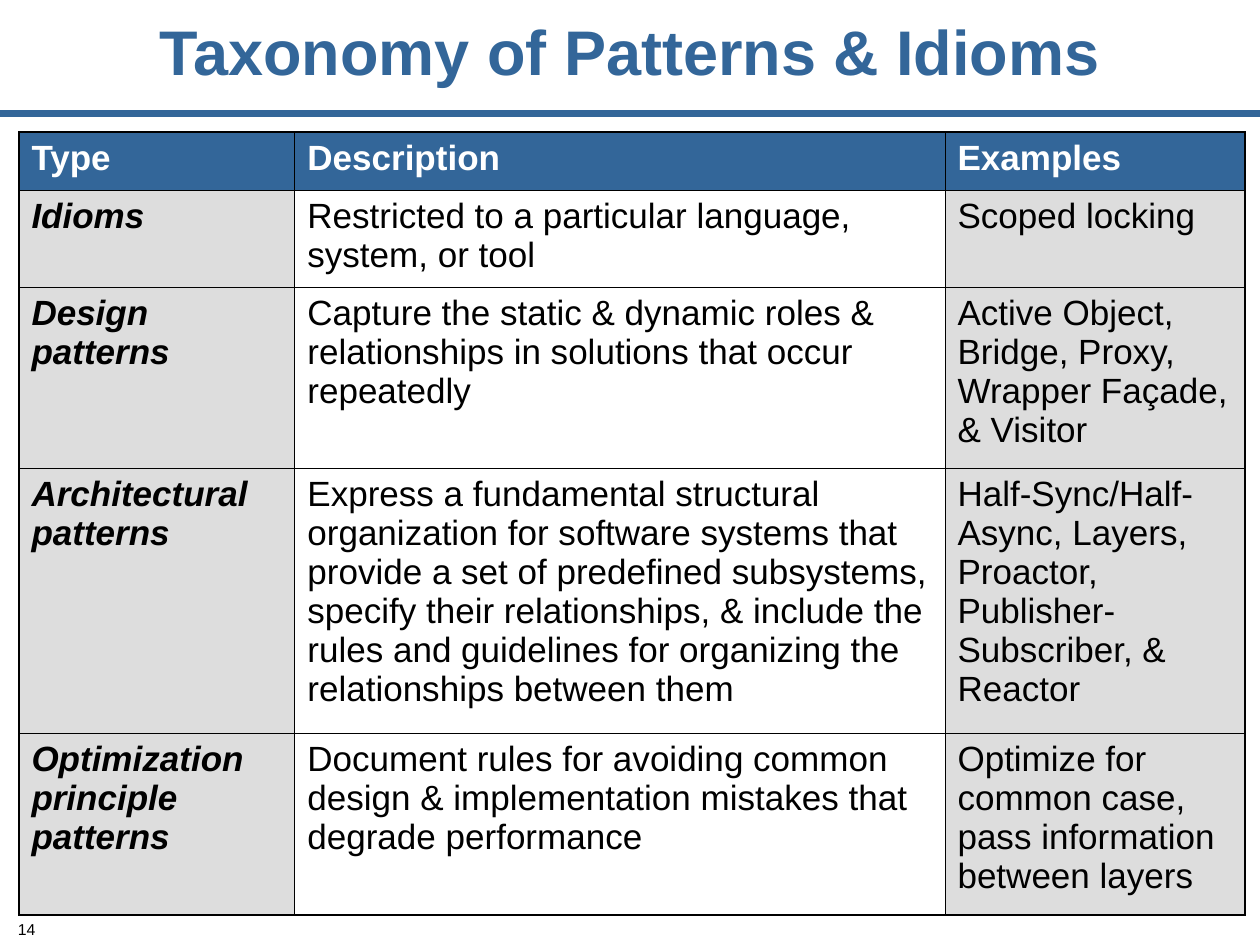
from lxml import etree
from pptx import Presentation
from pptx import util as u
from pptx.dml.color import RGBColor
from pptx.enum import shapes, text
from pptx.oxml import ns

BLUE = RGBColor(0x33, 0x66, 0x99)
GRAY = RGBColor(0xDD, 0xDD, 0xDD)
WHITE = RGBColor(0xFF, 0xFF, 0xFF)
BLACK = RGBColor(0, 0, 0)

COLUMN_WIDTHS = [2.19, 5.16, 2.38]
ROW_HEIGHTS = [0.46, 0.77, 1.44, 2.1, 1.44]
ROWS = [
    ("Type", "Description", "Examples"),
    ("Idioms", "Restricted to a particular language, system, or tool",
     "Scoped locking"),
    ("Design patterns",
     "Capture the static & dynamic roles & relationships in solutions "
     "that occur repeatedly",
     "Active Object, Bridge, Proxy, Wrapper Façade, & Visitor"),
    ("Architectural patterns",
     "Express a fundamental structural organization for software systems "
     "that provide a set of predefined subsystems, specify their "
     "relationships, & include the rules and guidelines for organizing the "
     "relationships between them",
     "Half-Sync/Half-Async, Layers, Proactor, \vPublisher-Subscriber, & Reactor"),
    ("Optimization principle patterns",
     "Document rules for avoiding common design & implementation mistakes "
     "that degrade performance",
     "Optimize for common case, pass information between layers"),
]


def write_text(frame, content, size=20, color=BLACK, bold=False, italic=False,
               align=text.PP_ALIGN.LEFT, line_spacing=1.0):
    """Fill the first paragraph; a vertical tab makes a line break."""
    paragraph = frame.paragraphs[0]
    paragraph.text = content
    paragraph.alignment = align
    paragraph.line_spacing = line_spacing
    for run in paragraph.runs:
        run.font.name = "Arial"
        run.font.size = u.Pt(size)
        run.font.color.rgb = color
        run.font.bold = bold
        run.font.italic = italic


class SlideBuilder:
    thin, thick = 0.45, 1.08

    def __init__(self, slide):
        self.slide = slide

    def line(self, x1, y1, x2, y2, color, width):
        connector = self.slide.shapes.add_connector(
            shapes.MSO_CONNECTOR.STRAIGHT, *map(u.Inches, (x1, y1, x2, y2)))
        connector.line.color.rgb = color
        connector.line.width = u.Pt(width)
        etree.SubElement(connector._element.spPr, ns.qn("a:effectLst"))

    def text_box(self, left, top, width, height, content, margins=(0, 0),
                 anchor=text.MSO_ANCHOR.TOP, **style):
        box = self.slide.shapes.add_textbox(
            *map(u.Inches, (left, top, width, height)))
        frame = box.text_frame
        frame.word_wrap = True
        frame.vertical_anchor = anchor
        frame.margin_left = frame.margin_right = u.Inches(margins[0])
        frame.margin_top = frame.margin_bottom = u.Inches(margins[1])
        write_text(frame, content, **style)

    def borders(self, cell, widths):
        """Draw black borders; widths are left, right, top, bottom."""
        properties = cell._tc.get_or_add_tcPr()
        for index, (side, width) in enumerate(zip("LRTB", widths)):
            border = etree.Element(ns.qn(f"a:ln{side}"), w=str(u.Pt(width)))
            fill = etree.SubElement(border, ns.qn("a:solidFill"))
            etree.SubElement(fill, ns.qn("a:srgbClr"), val=str(BLACK))
            properties.insert(index, border)

    def table(self, left, top, column_widths, row_heights, rows):
        last_row, last_column = len(rows) - 1, len(column_widths) - 1
        table = self.slide.shapes.add_table(
            len(rows), len(column_widths), u.Inches(left), u.Inches(top),
            u.Inches(sum(column_widths)), u.Inches(sum(row_heights))).table
        table.first_row = table.horz_banding = False
        for column, width in zip(table.columns, column_widths):
            column.width = u.Inches(width)
        for row, height in zip(table.rows, row_heights):
            row.height = u.Inches(height)

        for r, row in enumerate(rows):
            for c, content in enumerate(row):
                cell = table.cell(r, c)
                header, label = r == 0, c == 0
                cell.margin_left = cell.margin_right = u.Inches(0.1)
                cell.margin_top = cell.margin_bottom = u.Inches(0.05)
                if header or c in (0, last_column):
                    cell.fill.solid()
                    cell.fill.fore_color.rgb = BLUE if header else GRAY
                else:
                    cell.fill.background()
                write_text(cell.text_frame, content,
                           color=WHITE if header else BLACK,
                           bold=header or label, italic=label and not header)
                outer = (c == 0, c == last_column, r == 0, r == last_row)
                self.borders(cell, [self.thick if edge else self.thin
                                    for edge in outer])


def main():
    presentation = Presentation()
    presentation.slide_width = u.Inches(10)
    presentation.slide_height = u.Inches(7.5)
    slide = presentation.slides.add_slide(presentation.slide_layouts[6])
    builder = SlideBuilder(slide)

    # Title and rule
    builder.line(0, 0.9, 10, 0.9, BLUE, 3.75)
    builder.text_box(0.75, 0.18, 8.5, 0.5, "Taxonomy of Patterns & Idioms",
                     margins=(0.1, 0.05), anchor=text.MSO_ANCHOR.MIDDLE,
                     size=36, color=BLUE, bold=True,
                     align=text.PP_ALIGN.CENTER, line_spacing=0.95)

    # Taxonomy table
    builder.table(0.15, 1.05, COLUMN_WIDTHS, ROW_HEIGHTS, ROWS)

    # Slide number
    builder.text_box(0, 7.32, 0.28, 0.14, "14", size=9,
                     align=text.PP_ALIGN.RIGHT, line_spacing=0.9)

    presentation.save("out.pptx")


if __name__ == "__main__":
    main()
